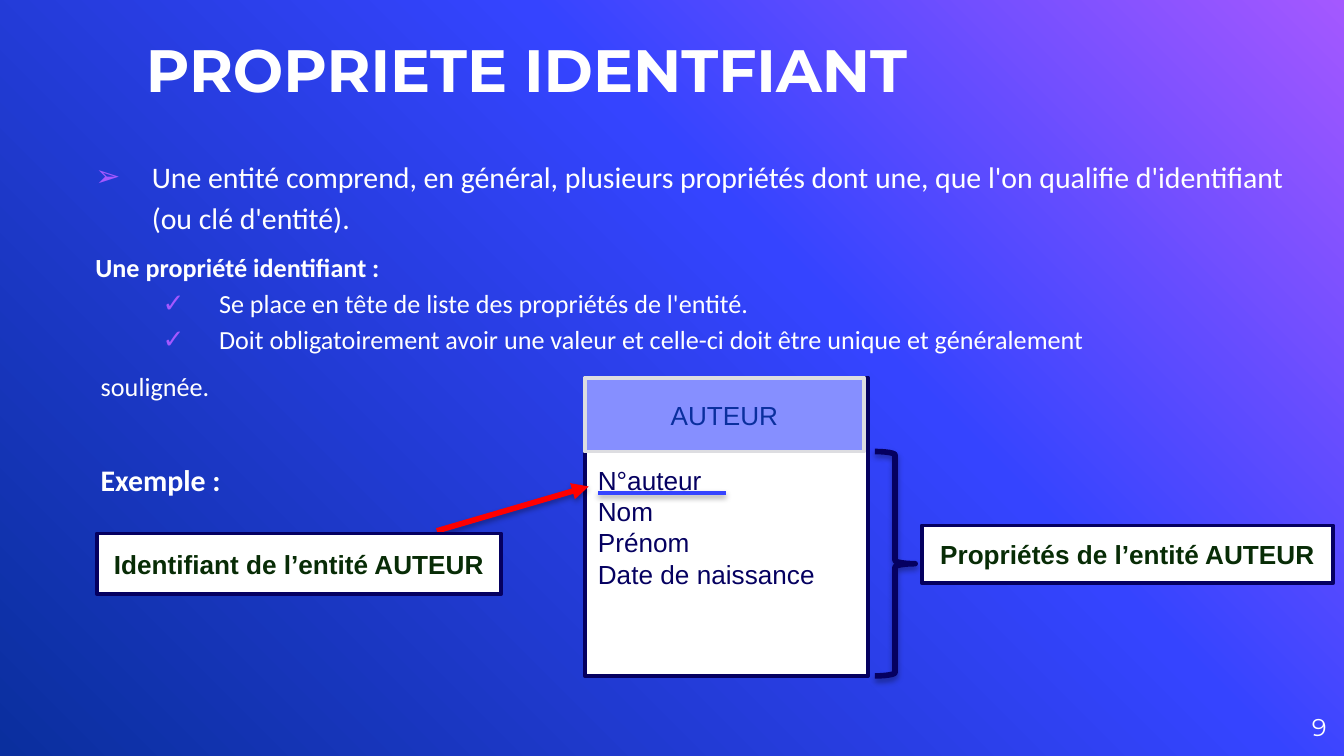
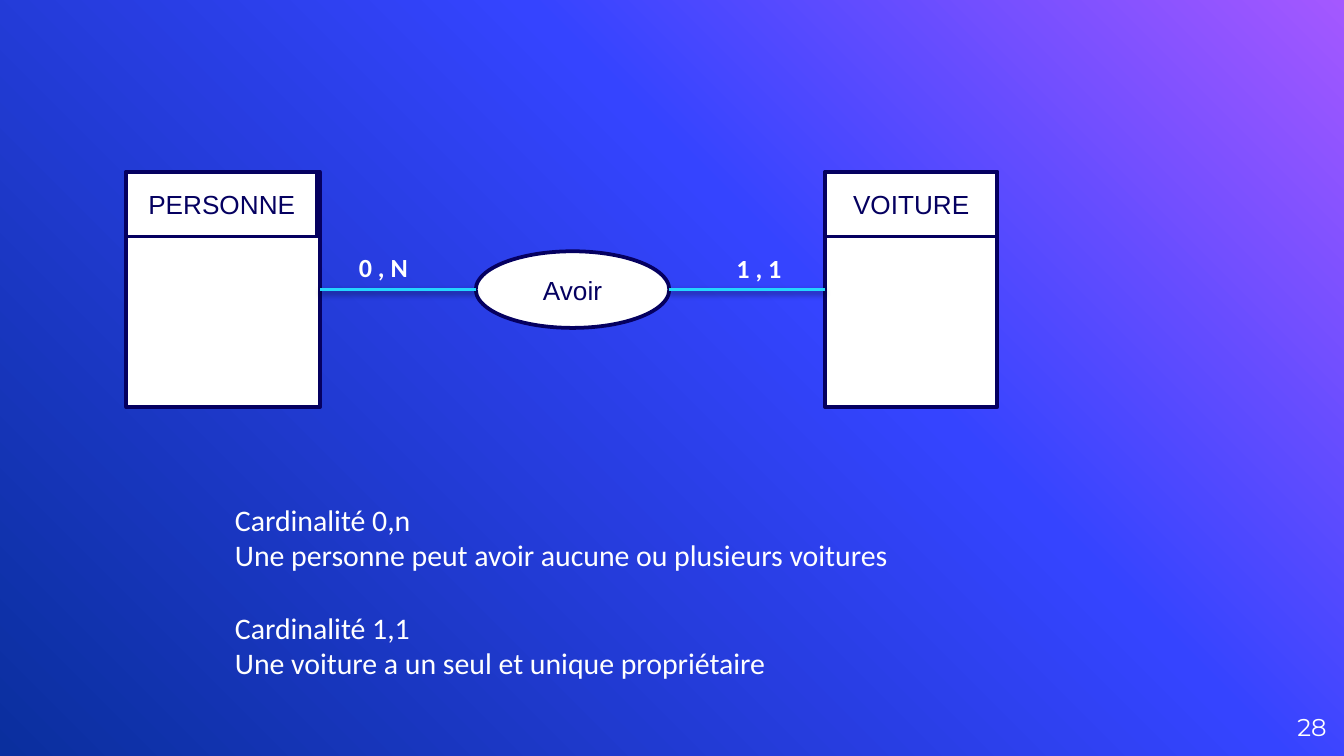
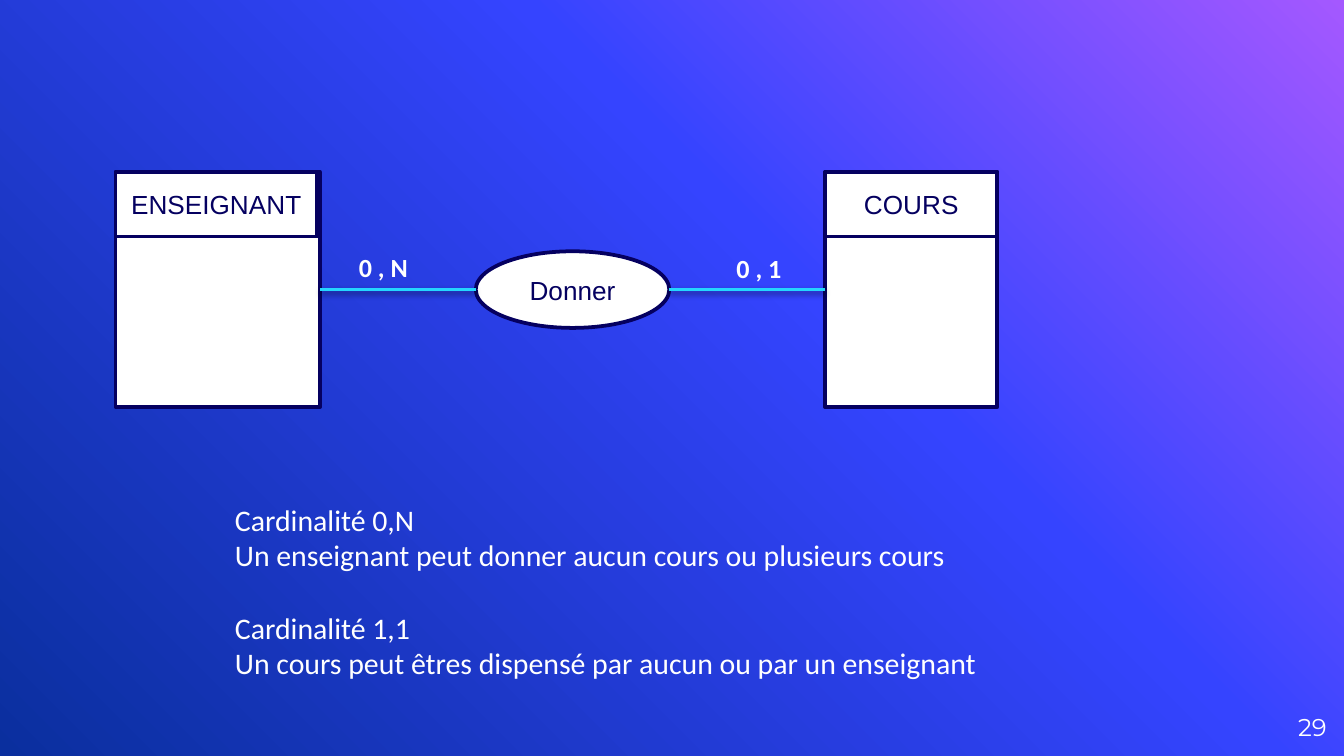
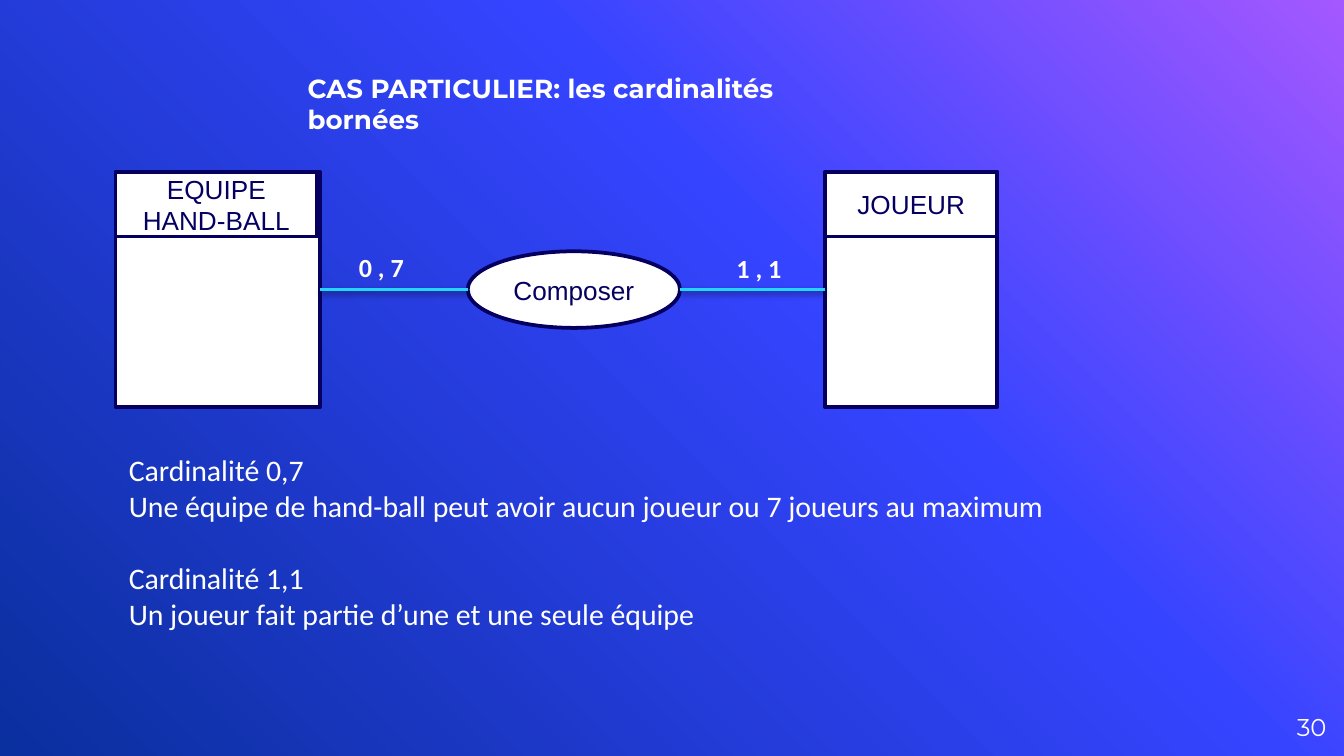
from lxml import etree
from pptx import Presentation
from pptx import util as u
from pptx.dml.color import RGBColor
from pptx.enum import shapes, text
from pptx.oxml import parse_xml
from pptx.oxml.ns import nsdecls, qn

# The slide is a grid of 100 columns by 56.25 rows; all places are in cells.
COLUMNS, ROWS = 100, 56.25
CELL = u.Inches(0.1)

COLORS = {
    "white": "FFFFFF", "violet": "A458FF", "blue": "3544FF", "deep": "0A2F9E",
    "navy": "050060", "lilac": "868FFF", "grey": "DDDDE1", "green": "082C06",
    "red": "FF0000", "cyan": "24D6FF",
}
BACKGROUND_STOPS = ((0, "violet"), (39, "blue"), (100, "deep"))
LEFT, CENTER, RIGHT = text.PP_ALIGN.LEFT, text.PP_ALIGN.CENTER, text.PP_ALIGN.RIGHT
TOP, MIDDLE, BOTTOM = text.MSO_ANCHOR.TOP, text.MSO_ANCHOR.MIDDLE, text.MSO_ANCHOR.BOTTOM
RECTANGLE = shapes.MSO_SHAPE.RECTANGLE
LEFT_SIDE, RIGHT_SIDE = 1, 3

ENTITY_TOP, ENTITY_HEIGHT, HEADER_HEIGHT = 12.8, 17.5, 4.8
LINK_ROW = ENTITY_TOP + ENTITY_HEIGHT / 2


def cells(*counts):
    return [round(count * CELL) for count in counts]


def color(name):
    return RGBColor.from_string(COLORS[name])


def new_slide(presentation, number):
    """Add a slide with the shared gradient and its page number."""
    slide = presentation.slides.add_slide(presentation.slide_layouts[6])
    fill = slide.background.fill
    fill.gradient()
    stops = "".join(
        f'<a:gs pos="{share * 1000}"><a:srgbClr val="{COLORS[name]}"/></a:gs>'
        for share, name in BACKGROUND_STOPS)
    gradient = parse_xml(
        f'<a:gradFill {nsdecls("a")} rotWithShape="1"><a:gsLst>{stops}</a:gsLst>'
        '<a:lin ang="8100000" scaled="0"/></a:gradFill>')
    old = slide.background._cSld.find(".//" + qn("a:gradFill"))
    old.getparent().replace(old, gradient)
    add_text(slide, (92.7, 51.9, 6, 4.3), [str(number)], insets=(0, 0, 0, 0),
             anchor=MIDDLE, align=RIGHT, size=13, font="Montserrat")
    return slide


def add_bullet(paragraph, symbol):
    properties = paragraph._p.get_or_add_pPr()
    bullet_color = etree.SubElement(properties, qn("a:buClr"))
    etree.SubElement(bullet_color, qn("a:srgbClr"), val=COLORS["violet"])
    etree.SubElement(properties, qn("a:buFont"), typeface="Arial")
    etree.SubElement(properties, qn("a:buChar"), char=symbol)


def format_paragraph(paragraph, words, size=16, font="Calibri", ink="white", bold=False,
                     align=LEFT, spacing=None, before=0, margin=0, indent=0, bullet=None):
    run = paragraph.add_run()
    run.text = words
    run.font.size, run.font.name, run.font.bold = u.Pt(size), font, bold
    run.font.color.rgb = color(ink)
    paragraph.alignment = align
    paragraph.space_before = u.Pt(before)
    if spacing:
        paragraph.line_spacing = spacing
    if margin:
        properties = paragraph._p.get_or_add_pPr()
        properties.set("marL", str(cells(margin)[0]))
        properties.set("indent", str(cells(indent)[0]))
    if bullet:
        add_bullet(paragraph, bullet)


def write_text(frame, lines, anchor=TOP, insets=(1, 0.5, 1, 0.5), **style):
    """Fill a frame; a line is a string or a pair of string and own format."""
    frame.word_wrap = True
    frame.vertical_anchor = anchor
    (frame.margin_left, frame.margin_top,
     frame.margin_right, frame.margin_bottom) = cells(*insets)
    for index, line in enumerate(lines):
        words, own = (line, {}) if isinstance(line, str) else line
        paragraph = frame.add_paragraph() if index else frame.paragraphs[0]
        format_paragraph(paragraph, words, **{**style, **own})


def add_text(slide, place, lines, **style):
    write_text(slide.shapes.add_textbox(*cells(*place)).text_frame, lines, **style)


def set_shadow(shape, opacity=0, distance=0):
    """Replace the theme's effects by a soft shadow below, or by none."""
    effects = etree.SubElement(shape._element.spPr, qn("a:effectLst"))
    if opacity:
        shadow = etree.SubElement(
            effects, qn("a:outerShdw"), blurRad=str(u.Pt(3.1)), dist=str(u.Pt(distance)),
            dir="5400000", rotWithShape="0")
        black = etree.SubElement(shadow, qn("a:srgbClr"), val="000000")
        etree.SubElement(black, qn("a:alpha"), val=str(opacity * 1000))


def add_box(slide, place, lines=(), kind=RECTANGLE, fill="white", edge="navy",
            align=CENTER, ink="navy", bold=False):
    box = slide.shapes.add_shape(kind, *cells(*place))
    box.fill.solid()
    box.fill.fore_color.rgb = color(fill)
    box.line.color.rgb = color(edge)
    box.line.width = u.Pt(2)
    set_shadow(box)
    write_text(box.text_frame, lines, anchor=MIDDLE, align=align, size=14,
               font="Arial", ink=ink, bold=bold)
    return box


def add_brace(slide, place):
    brace = slide.shapes.add_shape(shapes.MSO_SHAPE.RIGHT_BRACE, *cells(*place))
    brace.fill.background()
    brace.line.color.rgb = color("navy")
    brace.line.width = u.Pt(3)
    set_shadow(brace, 35, 1.8)


def add_line(slide, start, end, ink, width=2, arrow=False, opacity=38, distance=1.6):
    line = slide.shapes.add_connector(shapes.MSO_CONNECTOR.STRAIGHT, *cells(*start, *end))
    line.line.color.rgb = color(ink)
    line.line.width = u.Pt(width)
    if arrow:
        etree.SubElement(line.line._get_or_add_ln(), qn("a:tailEnd"), type="triangle")
    set_shadow(line, opacity, distance)
    return line


def add_entity(slide, name, left, width, header_width):
    body = add_box(slide, (left, ENTITY_TOP, width, ENTITY_HEIGHT))
    add_box(slide, (left, ENTITY_TOP, header_width, HEADER_HEIGHT), [name])
    return body


def add_relation(slide, owner, verb, owned, cardinalities, owner_left=8.6,
                 oval_left=35.4, oval_width=14.4):
    """Draw two entities joined through an oval, with their cardinalities."""
    owner_right, owned_left, oval_height = 23.8, 61.4, 5.7
    owner_width = owner_right - owner_left
    owner_box = add_entity(slide, owner, owner_left, owner_width, owner_width - 0.2)
    owned_box = add_entity(slide, owned, owned_left, 12.8, 12.8)
    add_box(slide, (oval_left, LINK_ROW - oval_height / 2, oval_width, oval_height),
            [verb], kind=shapes.MSO_SHAPE.OVAL)
    right_link = add_line(slide, (owned_left, LINK_ROW),
                          (oval_left + oval_width, LINK_ROW), "cyan")
    right_link.begin_connect(owned_box, LEFT_SIDE)
    left_link = add_line(slide, (oval_left, LINK_ROW), (owner_right, LINK_ROW), "cyan")
    left_link.end_connect(owner_box, RIGHT_SIDE)
    for label, left, top in zip(cardinalities, (25.2, 53.3), (18.2, 18.3)):
        add_text(slide, (left, top, 6.7, 3.4), [label], size=14, bold=True,
                 insets=(1.5, 0.5, 0.5, 0.5))


def add_explanation(slide, place, first, second):
    """Write two pairs of heading and sentence, one line apart."""
    add_text(slide, place, [*first, (second[0], {"before": 19.5}), second[1]])


def build_identifier_slide(presentation):
    slide = new_slide(presentation, 9)
    add_text(slide, (6.3, 2.3, 65.8, 5.5), ["PROPRIETE IDENTFIANT"], insets=(0, 0, 0, 0),
             anchor=BOTTOM, align=CENTER, size=32, font="Montserrat", bold=True)
    check = {"margin": 10, "indent": -4.2, "bullet": "✓", "before": 0}
    add_text(slide, (6.3, 7.8, 92.4, 44.2), [
        ("Une entité comprend, en général, plusieurs propriétés dont une, que l'on qualifie "
         "d'identifiant (ou clé d'entité).",
         {"size": 16, "margin": 5, "indent": -4.2, "bullet": "➢", "before": 0}),
        ("Une propriété identifiant :", {"bold": True, "margin": 0.8}),
        ("Se place en tête de liste des propriétés de l'entité.", check),
        ("Doit obligatoirement avoir une valeur et celle-ci doit être unique et généralement",
         check),
        "soulignée.",
        ("Exemple :", {"size": 16, "bold": True, "before": 29}),
    ], insets=(0, 3.6, 0, 0), size=14, spacing=1.15, before=6, margin=1.2)

    add_box(slide, (43.5, 28.1, 21.1, 22.2),
            ["N°auteur", "Nom", "Prénom", "Date de naissance"], align=LEFT)
    add_box(slide, (43.5, 28.1, 20.8, 5.5), ["AUTEUR"], fill="lilac", edge="grey", ink="deep")
    add_brace(slide, (65.1, 33.6, 3, 16.7))
    add_box(slide, (68.6, 39.1, 30.6, 4.3), ["Propriétés de l’entité AUTEUR"],
            ink="green", bold=True)
    add_line(slide, (32.5, 39.5), (43.8, 36.2), "red", width=3, arrow=True,
             opacity=35, distance=1.8)
    add_line(slide, (44.5, 36.7), (54, 36.7), "blue")
    add_box(slide, (7.2, 39.7, 30.1, 4.5), ["Identifiant de l’entité AUTEUR"],
            ink="green", bold=True)


def build_car_slide(presentation):
    slide = new_slide(presentation, 28)
    add_relation(slide, "PERSONNE", "Avoir", "VOITURE", ("0 , N", "1 , 1"), owner_left=9.4)
    add_explanation(
        slide, (16.5, 36.8, 57.6, 14.5),
        ("Cardinalité 0,n", "Une personne peut avoir aucune ou plusieurs voitures"),
        ("Cardinalité 1,1", "Une voiture a un seul et unique propriétaire"))


def build_course_slide(presentation):
    slide = new_slide(presentation, 29)
    add_relation(slide, "ENSEIGNANT", "Donner", "COURS", ("0 , N", "0 , 1"))
    add_explanation(
        slide, (16.5, 36.8, 65.8, 14.5),
        ("Cardinalité 0,N", "Un enseignant peut donner aucun cours ou plusieurs cours"),
        ("Cardinalité 1,1", "Un cours peut êtres dispensé par aucun ou par un enseignant"))


def build_team_slide(presentation):
    slide = new_slide(presentation, 30)
    add_relation(slide, "EQUIPE HAND-BALL", "Composer", "JOUEUR", ("0 , 7", "1 , 1"),
                 oval_left=34.8, oval_width=15.8)
    add_explanation(
        slide, (8.6, 33.1, 78.9, 14.5),
        ("Cardinalité 0,7",
         "Une équipe de hand-ball peut avoir aucun joueur ou 7 joueurs au maximum"),
        ("Cardinalité 1,1", "Un joueur fait partie d’une et une seule équipe"))
    add_text(slide, (21.9, 4.9, 43.7, 3.4), ["CAS PARTICULIER: les cardinalités bornées"],
             size=14, font="Montserrat", bold=True)


def main():
    presentation = Presentation()
    presentation.slide_width, presentation.slide_height = cells(COLUMNS, ROWS)
    build_identifier_slide(presentation)
    build_car_slide(presentation)
    build_course_slide(presentation)
    build_team_slide(presentation)
    presentation.save("out.pptx")


if __name__ == "__main__":
    main()
